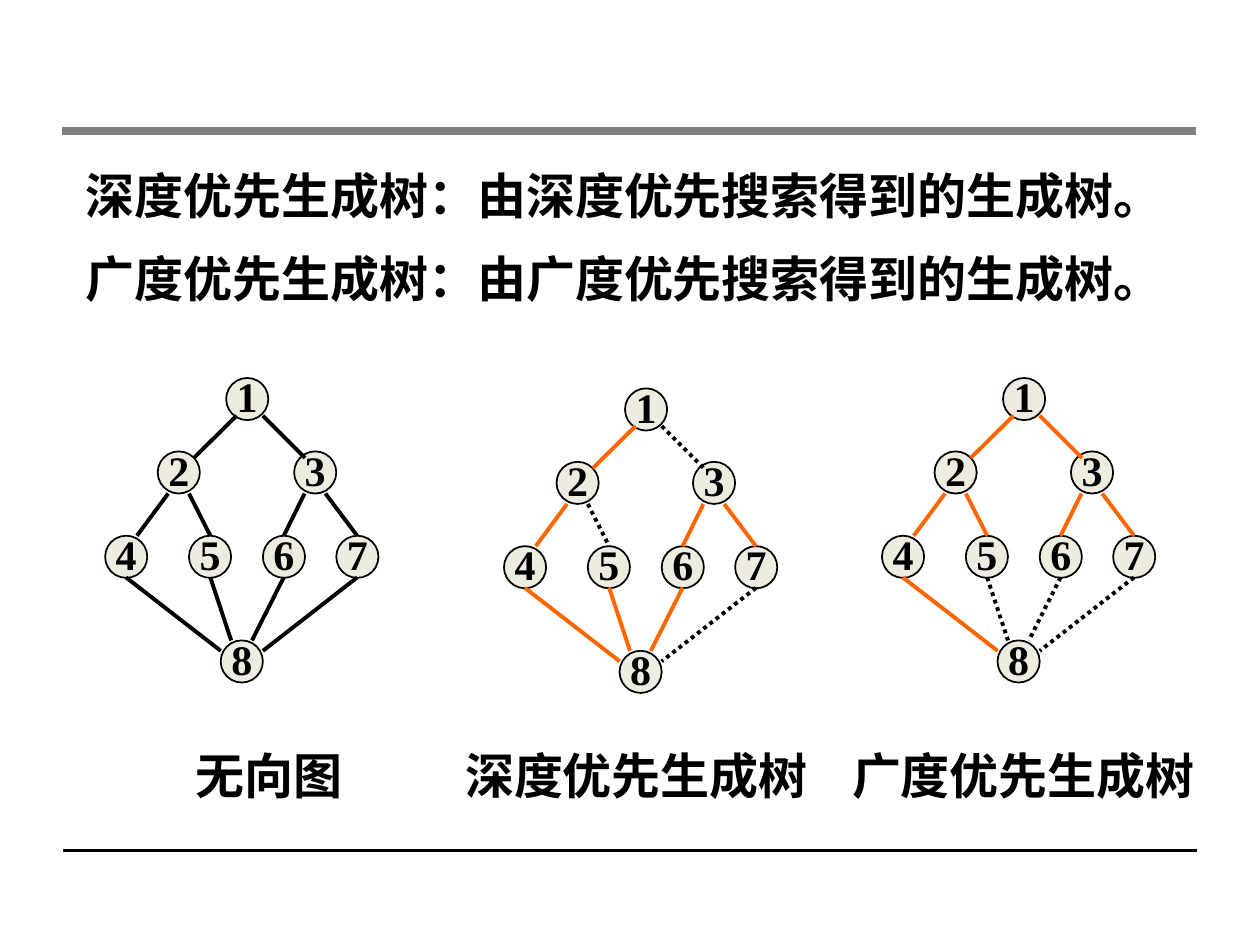
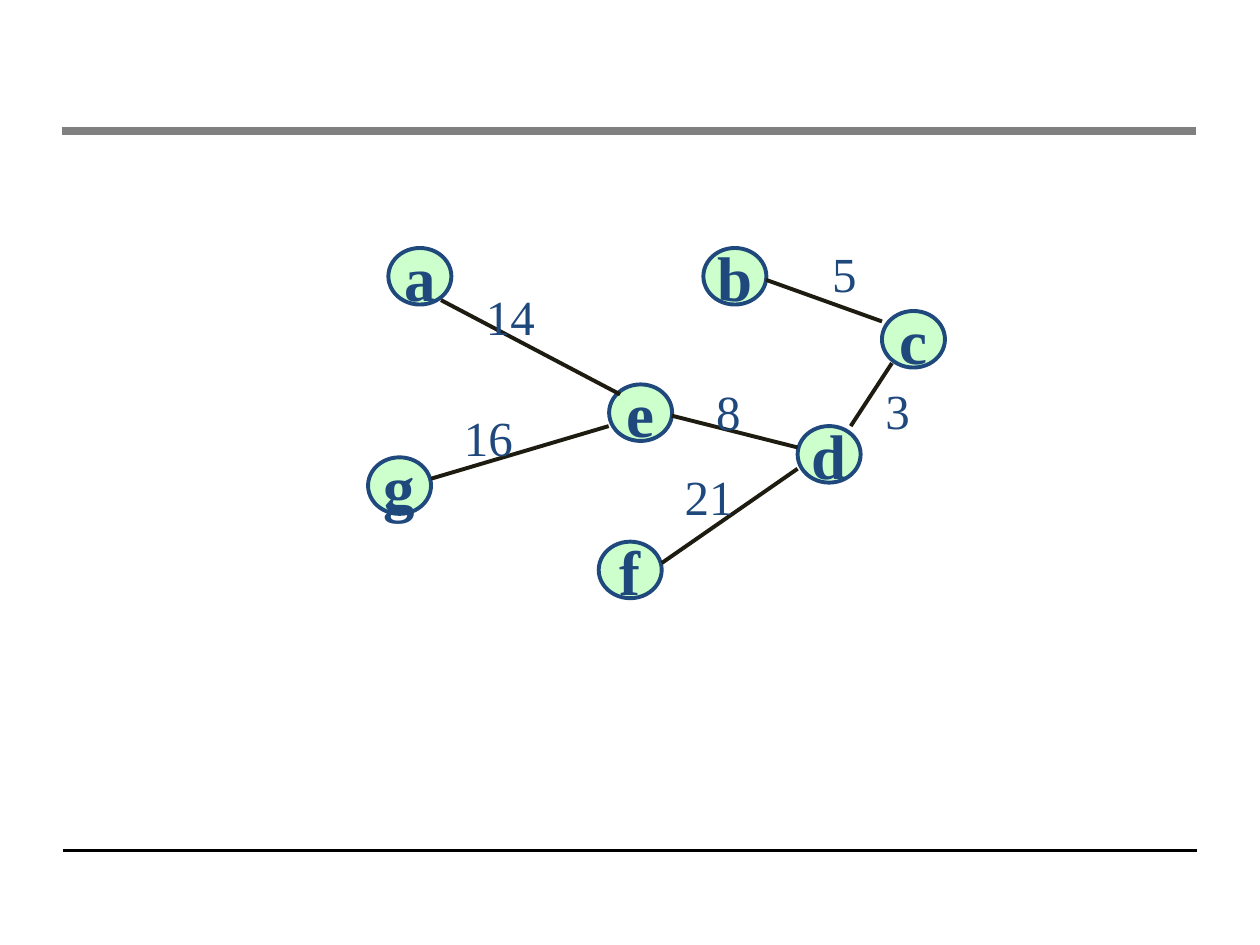
from lxml import etree
from pptx import Presentation
from pptx.dml.color import RGBColor
from pptx.enum.dml import MSO_LINE
from pptx.enum.shapes import MSO_CONNECTOR, MSO_SHAPE
from pptx.enum.text import MSO_ANCHOR, PP_ALIGN
from pptx.oxml.ns import qn
from pptx.util import Cm, Pt

STRAIGHT = MSO_CONNECTOR.STRAIGHT
OVAL = MSO_SHAPE.OVAL
DOTTED = MSO_LINE.ROUND_DOT
MIDDLE = MSO_ANCHOR.MIDDLE
LEFT, CENTER, RIGHT = PP_ALIGN.LEFT, PP_ALIGN.CENTER, PP_ALIGN.RIGHT

FONT = "Times New Roman"
COLORS = {
    "ink": "000000",
    "band": "808080",
    "tree_node": "EEECE1",
    "tree_edge": "FF6600",
    "weighted_node": "CCFFCC",
    "weighted_ink": "1F497D",
    "weighted_edge": "1E1C11",
}

TREE_INSETS = (0.25, 0, 0.25, 0.13)
DEFAULT_INSETS = (0.25, 0.13, 0.25, 0.13)
NO_INSETS = (0, 0, 0, 0)

DEFINITIONS = [
    "深度优先生成树：由深度优先搜索得到的生成树。",
    "广度优先生成树：由广度优先搜索得到的生成树。",
]
VERTEX_SIZE = 0.85
VERTICES = {
    "1": (2.44, 0), "2": (1.06, 1.48), "3": (3.81, 1.48),
    "4": (0, 3.18), "5": (1.69, 3.18), "6": (3.18, 3.18), "7": (4.66, 3.18),
    "8": (2.33, 5.29),
}
EDGES = {
    "12": (2.65, 0.76, 1.79, 1.61),
    "13": (3.18, 0.76, 4.03, 1.61),
    "24": (1.27, 2.33, 0.64, 3.18),
    "25": (1.69, 2.33, 2.12, 3.18),
    "36": (4.02, 2.33, 3.6, 3.18),
    "37": (4.44, 2.33, 5.08, 3.18),
    "48": (0.42, 4.02, 2.33, 5.5),
    "58": (2.12, 4.02, 2.54, 5.29),
    "68": (3.6, 4.02, 2.96, 5.29),
    "78": (5.08, 4.02, 3.18, 5.5),
}
GRAPHS = [
    ("无向图", 5.43, (2.12, 7.62), "ink", ()),
    ("深度优先生成树", 12.83, (10.16, 7.83), "tree_edge", ("13", "25", "78")),
    ("广度优先生成树", 20.63, (17.78, 7.62), "tree_edge", ("58", "68", "78")),
]
CAPTION_WIDTH = 7.3

WEIGHTED_VERTICES = {
    "a": (0.41, 0), "b": (6.76, 0), "c": (10.36, 1.27), "d": (8.66, 3.59),
    "e": (4.86, 2.75), "g": (0, 4.22), "f": (4.65, 5.92),
}
WEIGHTED_EDGES = [
    ("14", (1.47, 1.05, 5.08, 2.95), (2.11, 0.64)),
    ("16", (1.27, 4.65, 4.85, 3.59), (1.67, 3.08)),
    ("8", (6.12, 3.38, 8.66, 4.02), (6.75, 2.57)),
    ("5", (8.02, 0.64, 10.36, 1.48), (9.09, -0.22)),
    ("3", (10.56, 2.32, 9.73, 3.59), (10.16, 2.54)),
    ("21", (8.66, 4.45, 5.92, 6.35), (6.12, 4.27)),
]


def rgb(name):
    return RGBColor.from_string(COLORS[name])


def write(shape, lines, size, color="ink", bold=True, align=LEFT,
          insets=TREE_INSETS, wrap=True, gap=0):
    frame = shape.text_frame
    frame.word_wrap = wrap
    frame.margin_left, frame.margin_top, frame.margin_right, frame.margin_bottom = map(Cm, insets)
    frame.text = "\n".join(lines)
    for index, paragraph in enumerate(frame.paragraphs):
        paragraph.alignment = align
        paragraph.space_before = Pt(gap if index else 0)
        paragraph.font.name = FONT
        paragraph.font.size = Pt(size)
        paragraph.font.bold = bold
        paragraph.font.color.rgb = rgb(color)


def add_text(slide, box, lines, size, **style):
    write(slide.shapes.add_textbox(*map(Cm, box)), lines, size, **style)


def add_line(slide, ends, color, width=2.25, dotted=False):
    connector = slide.shapes.add_connector(STRAIGHT, *map(Cm, ends))
    connector.line.color.rgb = rgb(color)
    connector.line.width = Pt(width)
    if dotted:
        connector.line.dash_style = DOTTED
    etree.SubElement(connector._element.spPr, qn("a:effectLst"))


def add_edge(slide, left, top, ends, color, dotted=False):
    x1, y1, x2, y2 = ends
    add_line(slide, (left + x1, top + y1, left + x2, top + y2), color, dotted=dotted)


def add_vertex(slide, box, name, fill, ink, outline, size, insets):
    vertex = slide.shapes.add_shape(OVAL, *map(Cm, box))
    vertex.shadow.inherit = False
    vertex.fill.solid()
    vertex.fill.fore_color.rgb = rgb(fill)
    vertex.line.color.rgb = rgb(ink)
    vertex.line.width = Pt(outline)
    vertex.text_frame.vertical_anchor = MIDDLE
    write(vertex, [name], size, color=ink, align=CENTER, insets=insets, wrap=False)


def add_framed_slide(prs):
    slide = prs.slides.add_slide(prs.slide_layouts[6])
    add_line(slide, (1.27, 17.15, 24.13, 17.15), "ink", 2)
    add_line(slide, (1.24, 2.64, 24.1, 2.64), "band", 5)
    return slide


def add_graph(slide, left, top, edge_color, unused):
    for name, (x, y) in VERTICES.items():
        add_vertex(slide, (left + x, top + y, VERTEX_SIZE, VERTEX_SIZE), name,
                   "tree_node", "ink", 1, 24, TREE_INSETS)
    for edge, ends in EDGES.items():
        dotted = edge in unused
        add_edge(slide, left, top, ends, "ink" if dotted else edge_color, dotted)


def add_weighted_tree(slide, left, top):
    for name, (x, y) in WEIGHTED_VERTICES.items():
        add_vertex(slide, (left + x, top + y, 1.27, 1.14), name,
                   "weighted_node", "weighted_ink", 2.25, 36, DEFAULT_INSETS)
    for weight, ends, (x, y) in WEIGHTED_EDGES:
        add_edge(slide, left, top, ends, "weighted_edge")
        width = 0.52 + 0.49 * len(weight)
        add_text(slide, (left + x, top + y, width, 1.45), [weight], 28, bold=False,
                 color="weighted_ink", align=RIGHT, insets=DEFAULT_INSETS, wrap=False)


def build_spanning_trees(prs):
    slide = add_framed_slide(prs)
    add_text(slide, (1.48, 3.33, 22.88, 3.12), DEFINITIONS, 28, gap=14)
    for caption, center, (left, top), edge_color, unused in GRAPHS:
        add_graph(slide, left, top, edge_color, unused)
        add_text(slide, (center - CAPTION_WIDTH / 2, 15.03, CAPTION_WIDTH, 1.32),
                 [caption], 28, align=CENTER, insets=NO_INSETS)


def build_weighted_tree(prs):
    add_weighted_tree(add_framed_slide(prs), 7.42, 5)


def main():
    prs = Presentation()
    prs.slide_width, prs.slide_height = Cm(25.4), Cm(19.05)
    build_spanning_trees(prs)
    build_weighted_tree(prs)
    prs.save("out.pptx")


if __name__ == "__main__":
    main()
